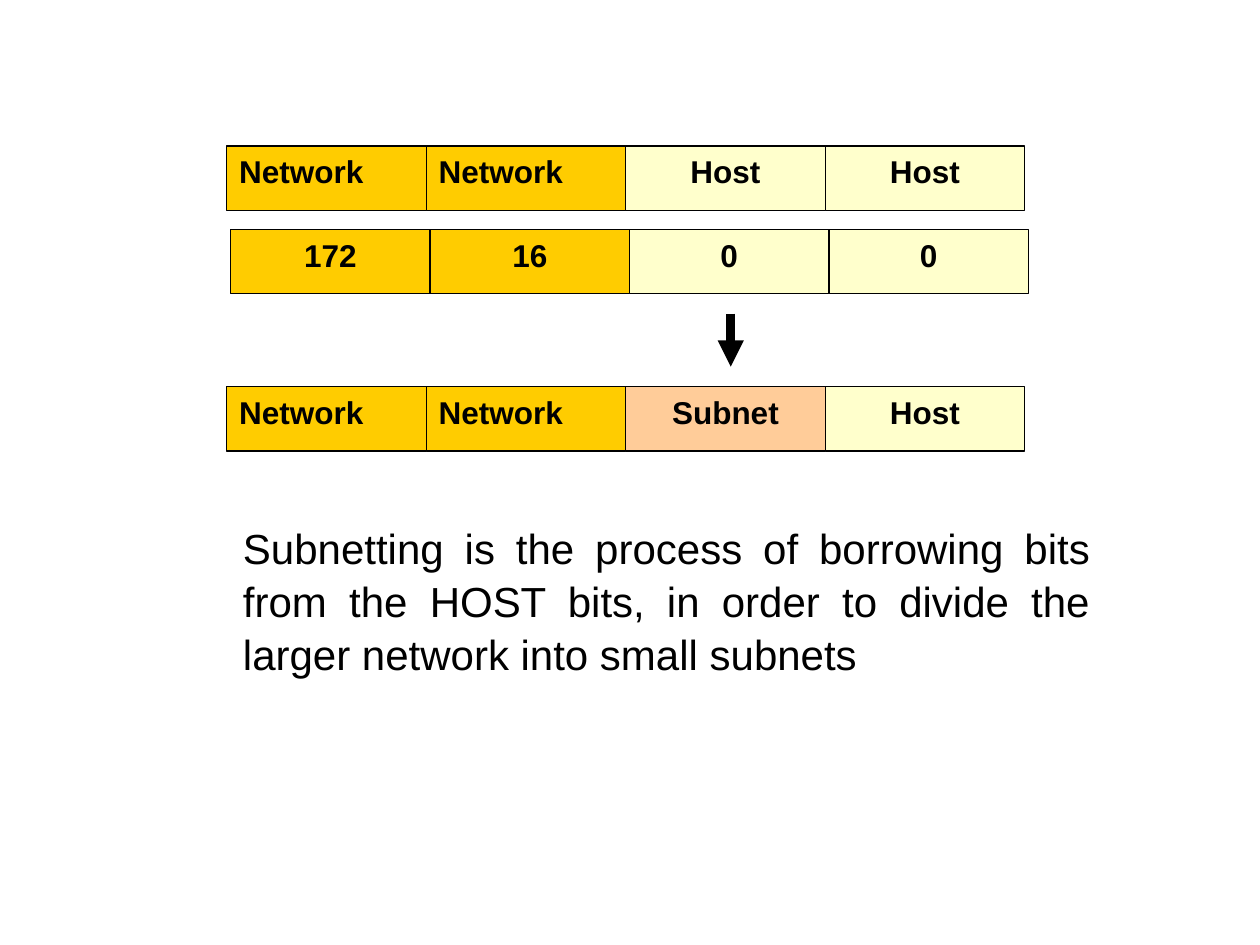
from lxml import etree
from pptx import Presentation
from pptx.dml.color import RGBColor
from pptx.enum.shapes import MSO_CONNECTOR, MSO_SHAPE
from pptx.enum.text import MSO_ANCHOR, PP_ALIGN
from pptx.oxml.ns import qn
from pptx.util import Inches, Pt

RECTANGLE = MSO_SHAPE.RECTANGLE
STRAIGHT = MSO_CONNECTOR.STRAIGHT
TOP = MSO_ANCHOR.TOP
LEFT, CENTER, JUSTIFY = PP_ALIGN.LEFT, PP_ALIGN.CENTER, PP_ALIGN.JUSTIFY

BLACK = RGBColor(0x00, 0x00, 0x00)
NETWORK_GOLD = RGBColor(0xFF, 0xCC, 0x00)
HOST_CREAM = RGBColor(0xFF, 0xFF, 0xCC)
SUBNET_PEACH = RGBColor(0xFF, 0xCC, 0x99)

FONT = "Arial"
CELL_WIDTH, CELL_HEIGHT = 1.583, 0.51
BLANK_LAYOUT = 6

HOST_FILLS = (NETWORK_GOLD, NETWORK_GOLD, HOST_CREAM, HOST_CREAM)
SUBNET_FILLS = (NETWORK_GOLD, NETWORK_GOLD, SUBNET_PEACH, HOST_CREAM)
DEFINITION = (
    "Subnetting is the process of borrowing bits from the HOST bits, "
    "in order to divide the larger network into small subnets"
)


def write_text(box, text, size, alignment, bold=False):
    """Put one formatted paragraph into a box and return it."""
    frame = box.text_frame
    frame.word_wrap = True
    frame.vertical_anchor = TOP
    frame.text = text
    para = frame.paragraphs[0]
    para.alignment = alignment
    font = para.runs[0].font
    font.name, font.size, font.bold = FONT, Pt(size), bold
    font.color.rgb = BLACK
    return para


def add_address_row(shapes, left, top, labels, fills):
    """Draw the four adjoining octets of an address."""
    for column, (label, fill) in enumerate(zip(labels, fills)):
        octet = shapes.add_shape(
            RECTANGLE, Inches(left + column * CELL_WIDTH), Inches(top),
            Inches(CELL_WIDTH), Inches(CELL_HEIGHT))
        octet.shadow.inherit = False
        octet.fill.solid()
        octet.fill.fore_color.rgb = fill
        octet.line.color.rgb = BLACK
        octet.line.width = Pt(0.75)
        alignment = LEFT if label == "Network" else CENTER
        write_text(octet, label, 18, alignment, bold=True)


def add_down_arrow(shapes, x, top, bottom):
    """Draw a thick vertical arrow pointing down."""
    arrow = shapes.add_connector(
        STRAIGHT, Inches(x), Inches(top), Inches(x), Inches(bottom))
    arrow.line.color.rgb = BLACK
    arrow.line.width = Pt(5)
    etree.SubElement(arrow.line._get_or_add_ln(), qn("a:tailEnd"), type="triangle")
    etree.SubElement(arrow._element.spPr, qn("a:effectLst"))


def add_definition(shapes, left, top, width, height):
    """Add the justified explanation of subnetting."""
    box = shapes.add_textbox(
        Inches(left), Inches(top), Inches(width), Inches(height))
    para = write_text(box, DEFINITION, 24, JUSTIFY)
    para.line_spacing = 1.05


def main():
    """Build the subnetting slide and save the deck."""
    deck = Presentation()
    deck.slide_width, deck.slide_height = Inches(10), Inches(7.5)
    page = deck.slides.add_slide(deck.slide_layouts[BLANK_LAYOUT])
    shapes = page.shapes

    add_address_row(shapes, 1.8, 1.16, ("Network", "Network", "Host", "Host"), HOST_FILLS)
    add_address_row(shapes, 1.83, 1.82, ("172", "16", "0", "0"), HOST_FILLS)
    subnet_row = shapes.add_group_shape()
    add_address_row(subnet_row.shapes, 1.8, 3.07,
                    ("Network", "Network", "Subnet", "Host"), SUBNET_FILLS)
    add_down_arrow(shapes, 5.8, 2.49, 2.91)
    add_definition(shapes, 1.83, 4.08, 6.92, 1.31)

    deck.save("out.pptx")


if __name__ == "__main__":
    main()
